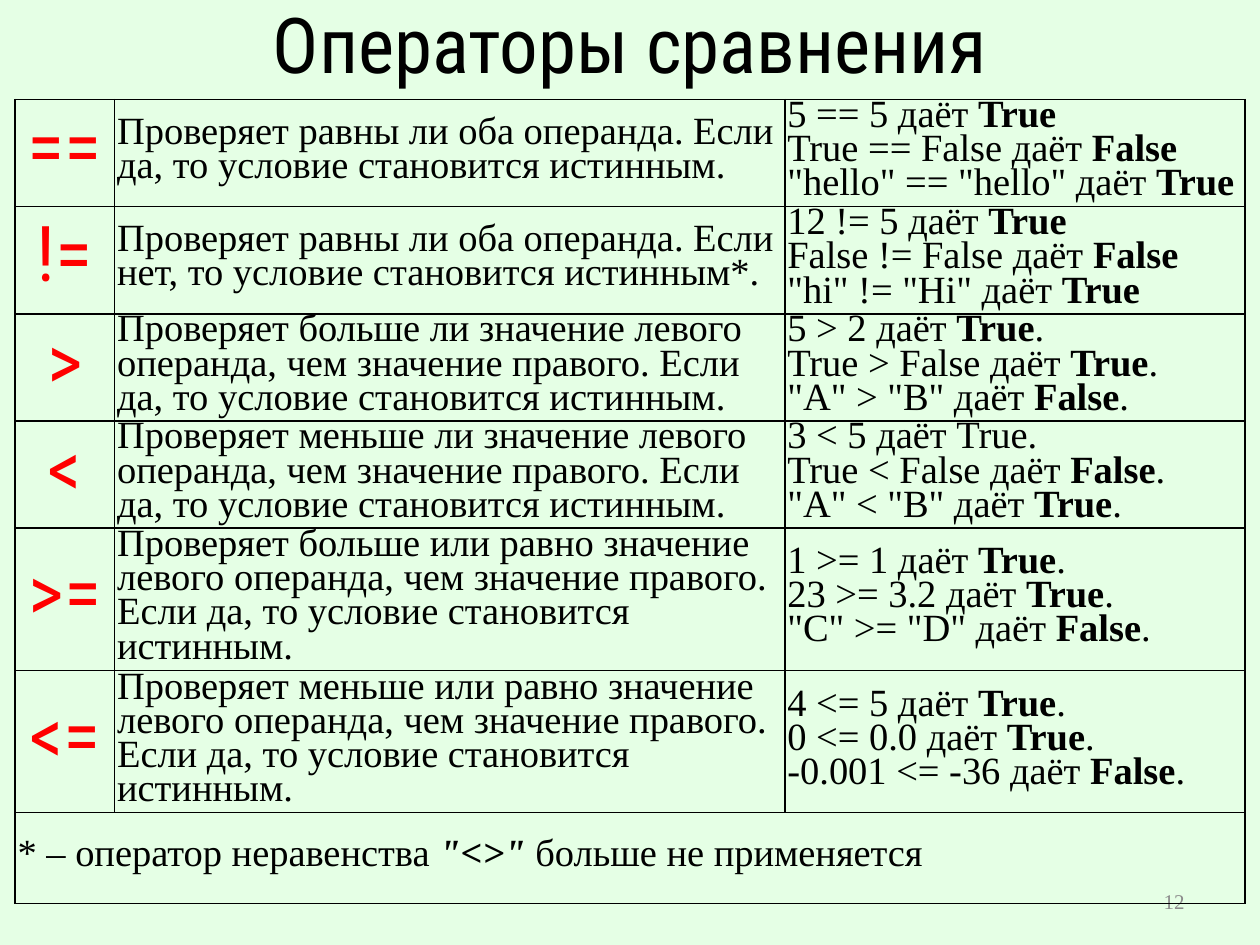
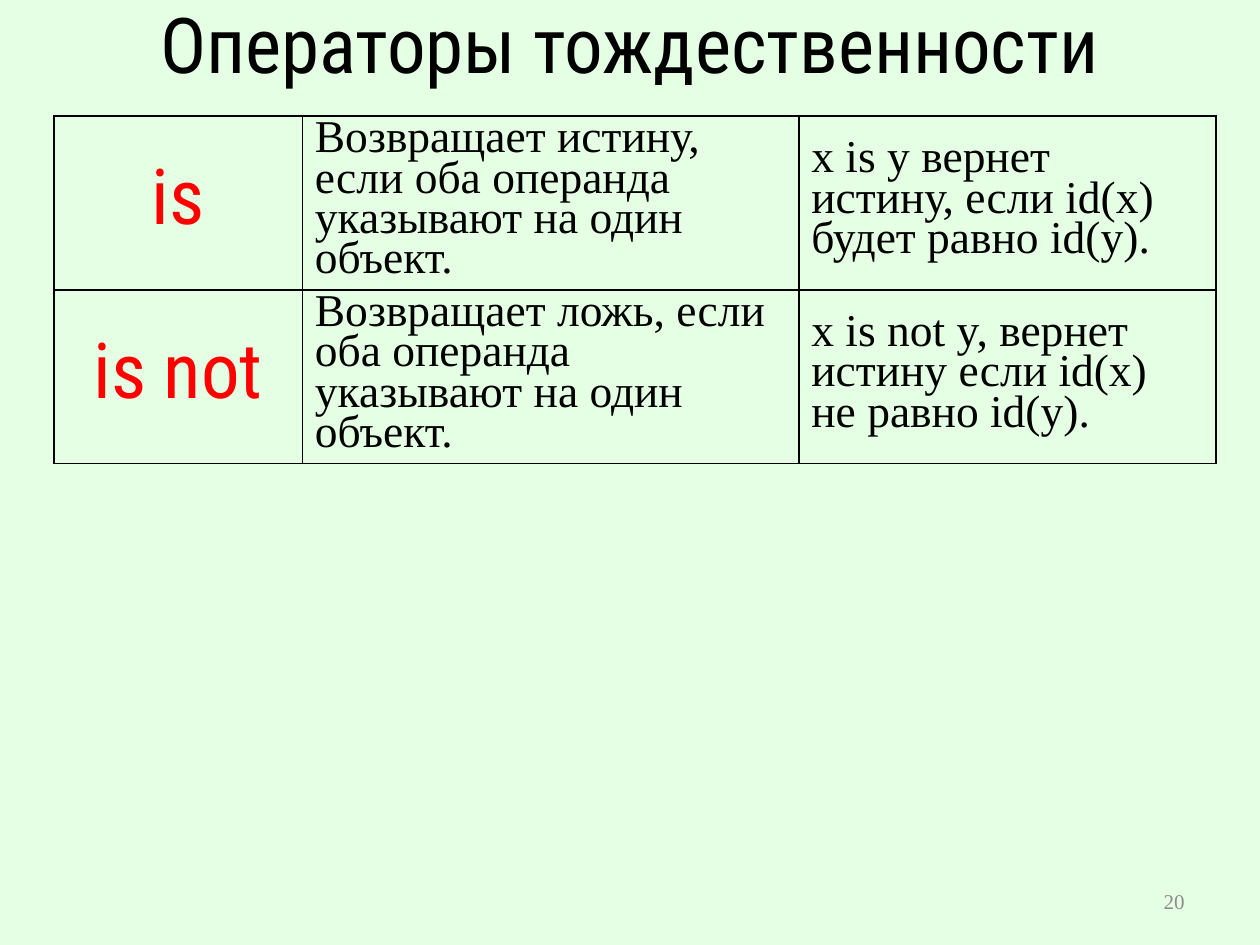
"""Builds two slides with tables of comparison and identity operators."""
from lxml import etree
from pptx import Presentation
from pptx.dml.color import RGBColor
from pptx.enum import text
from pptx.oxml import ns
from pptx.util import Inches, Pt

MINT = RGBColor(0xE5, 0xFF, 0xE5)
BLACK = RGBColor(0, 0, 0)
RED = RGBColor(0xFF, 0, 0)
GRAY = RGBColor(0x8C, 0x8C, 0x8C)
HEAD_FONT, BODY_FONT = "Roboto Condensed", "Times New Roman"
HEAD_SIZE, NUMBER_SIZE = 44, 12
LEFT, CENTER, RIGHT = text.PP_ALIGN.LEFT, text.PP_ALIGN.CENTER, text.PP_ALIGN.RIGHT

COMPARISON = [
    ("==", "Проверяет равны ли оба операнда. Если да, то условие становится истинным.",
     '5 == 5 даёт |True|\nTrue == False даёт |False|\n"hello" == "hello" даёт |True|'),
    ("!=", "Проверяет равны ли оба операнда. Если нет, то условие становится истинным*.",
     '12 != 5 даёт |True|\nFalse != False даёт |False|\n"hi" != "Hi" даёт |True|'),
    (">", "Проверяет больше ли значение левого операнда, чем значение правого. "
          "Если да, то условие становится истинным.",
     '5 > 2 даёт |True|.\nTrue > False даёт |True|.\n"A" > "B" даёт |False|.'),
    ("<", "Проверяет меньше ли значение левого операнда, чем значение правого. "
          "Если да, то условие становится истинным.",
     '3 < 5 даёт True.\nTrue < False даёт |False|.\n"A" < "B" даёт |True|.'),
    (">=", "Проверяет больше или равно значение левого операнда, чем значение правого. "
           "Если да, то условие становится истинным.",
     '1 >= 1 даёт |True|.\n23 >= 3.2 даёт |True|.\n"C" >= "D" даёт |False|.'),
    ("<=", "Проверяет меньше или равно значение левого операнда, чем значение правого. "
           "Если да, то условие становится истинным.",
     "4 <= 5 даёт |True|.\n0 <= 0.0 даёт |True|.\n-0.001 <= -36 даёт |False|."),
]
IDENTITY = [
    ("is", "Возвращает истину, если оба операнда указывают на один объект.",
     "x is y вернет истину, если id(x) будет равно id(y)."),
    ("is not", "Возвращает ложь, если оба операнда указывают на один объект.",
     "x is not y, вернет истину если id(x) не равно id(y)."),
]
SLIDES = [
    dict(title="Операторы сравнения", number="12", operators=COMPARISON,
         footnote='* – оператор неравенства |"<>" |больше не применяется',
         corner=(0.12, 0.79), columns=(0.79, 5.32, 3.65),
         rows=[0.85] * 4 + [1.13] * 2 + [0.72],
         size=22, leading=Pt(19.5), insets=(0.02, 0.01)),
    dict(title="Операторы тождественности", number="20", operators=IDENTITY,
         footnote=None, corner=(0.43, 0.92), columns=(1.97, 3.94, 3.31),
         rows=[1.38] * 2, size=26, leading=Pt(23), insets=(0.1, 0.05)),
]


def write(frame, words, size, font=BODY_FONT, color=BLACK, align=LEFT,
          spacing=None, italic=False):
    """Fill a frame with one paragraph, emphasising text between bars."""
    paragraph = frame.paragraphs[0]
    paragraph.alignment = align
    paragraph.line_spacing = spacing
    for line_index, line in enumerate(words.split("\n")):
        if line_index:
            paragraph.add_line_break()
        for part_index, part in enumerate(line.split("|")):
            if not part:
                continue
            run = paragraph.add_run()
            run.text = part
            run.font.size, run.font.name = Pt(size), font
            run.font.color.rgb = color
            run.font.bold = part_index % 2 == 1
            run.font.italic = italic and part_index % 2 == 1


def add_label(slide, box, words, size, **style):
    """Add a vertically centred line of text."""
    frame = slide.shapes.add_textbox(*map(Inches, box)).text_frame
    frame.word_wrap = True
    frame.vertical_anchor = text.MSO_ANCHOR.MIDDLE
    write(frame, words, size, **style)


def format_cell(cell, insets):
    """Give a cell black borders, no fill, and its margins."""
    properties = cell._tc.get_or_add_tcPr()
    for side in ("a:lnL", "a:lnR", "a:lnT", "a:lnB"):
        border = etree.SubElement(properties, ns.qn(side), w=str(Pt(1)))
        fill = etree.SubElement(border, ns.qn("a:solidFill"))
        etree.SubElement(fill, ns.qn("a:srgbClr"), val=str(BLACK))
    cell.fill.background()
    cell.vertical_anchor = text.MSO_ANCHOR.MIDDLE
    cell.margin_left = cell.margin_right = Inches(insets[0])
    cell.margin_top = cell.margin_bottom = Inches(insets[1])


def add_operators(slide, content):
    """Add the operator table and its footnote row."""
    columns, rows = content["columns"], content["rows"]
    size, leading = content["size"], content["leading"]
    box = (*content["corner"], sum(columns), sum(rows))
    table = slide.shapes.add_table(len(rows), len(columns), *map(Inches, box)).table
    table.first_row = table.horz_banding = False
    for column, width in zip(table.columns, columns):
        column.width = Inches(width)
    for row, height in zip(table.rows, rows):
        row.height = Inches(height)
    for cell in table.iter_cells():
        format_cell(cell, content["insets"])
    for index, (operator, meaning, examples) in enumerate(content["operators"]):
        write(table.cell(index, 0).text_frame, operator, HEAD_SIZE,
              font=HEAD_FONT, color=RED, align=CENTER, spacing=0.8)
        for column, words in enumerate((meaning, examples), 1):
            write(table.cell(index, column).text_frame, words, size, spacing=leading)
    if content["footnote"]:
        last = len(rows) - 1
        note = table.cell(last, 0)
        note.merge(table.cell(last, len(columns) - 1))
        write(note.text_frame, content["footnote"], size, spacing=leading, italic=True)


def main():
    """Build and save the slides."""
    deck = Presentation()
    deck.slide_width, deck.slide_height = Inches(10), Inches(7.5)
    for content in SLIDES:
        slide = deck.slides.add_slide(deck.slide_layouts[6])
        slide.background.fill.solid()
        slide.background.fill.fore_color.rgb = MINT
        add_label(slide, (0.12, 0, 9.76, 0.68), content["title"], HEAD_SIZE,
                  font=HEAD_FONT, align=CENTER)
        add_label(slide, (7.17, 6.95, 2.33, 0.4), content["number"], NUMBER_SIZE,
                  color=GRAY, align=RIGHT)
        add_operators(slide, content)
    deck.save("out.pptx")


if __name__ == "__main__":
    main()
